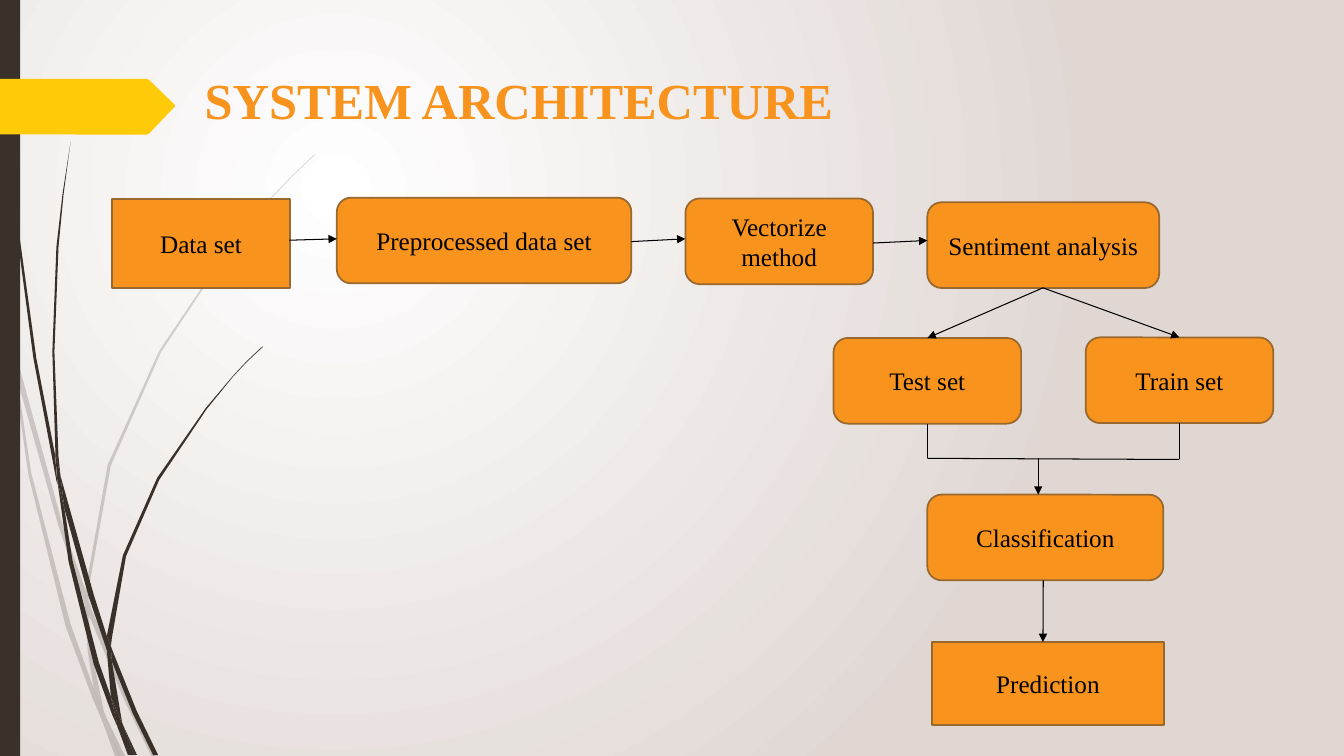
from lxml import etree
from pptx import Presentation
from pptx.dml.color import RGBColor
from pptx.enum.shapes import MSO_CONNECTOR, MSO_SHAPE
from pptx.enum.text import MSO_ANCHOR, MSO_AUTO_SIZE, PP_ALIGN
from pptx.oxml.ns import qn
from pptx.util import Pt

PROCESS = MSO_SHAPE.FLOWCHART_PROCESS
ROUNDED = MSO_SHAPE.FLOWCHART_ALTERNATE_PROCESS
STRAIGHT = MSO_CONNECTOR.STRAIGHT

ORANGE, BROWN, YELLOW, BARK, BLACK = "F8931D", "98682E", "FFCA08", "39302A", "000000"
BACKGROUND = ("FFFFFF", "E0D7D3")
SLIDE_SIZE = (960, 540)

TITLE = "SYSTEM ARCHITECTURE"
TITLE_BOX = (139, 45.4, 532.8, 51.1)
TITLE_FONT = {"name": "Times New Roman", "size": Pt(36), "bold": True}
STEP_FONT = {"name": "Times New Roman", "size": Pt(18), "bold": False}

# (label, shape, left, top, width, height)
STEPS = [
    ("Data set", PROCESS, 80, 142, 127.2, 63.6),
    ("Preprocessed data set", ROUNDED, 240.6, 141.2, 210.4, 61.2),
    ("Train set", ROUNDED, 775.5, 241, 134, 61.2),
    ("Test set", ROUNDED, 595.4, 241.4, 134, 61.2),
    ("Classification", ROUNDED, 662.4, 353.3, 168.6, 61.2),
    ("Prediction", PROCESS, 665.8, 458.6, 165.6, 59.4),
    ("Vectorize method", ROUNDED, 489.6, 141.8, 134, 61.2),
    ("Sentiment analysis", ROUNDED, 662.4, 144.5, 165.6, 61.2),
]
# (from, to)
ARROWS = [
    ((745, 205.6), (662.5, 241.4)),    # sentiment analysis to test set
    ((745, 205.6), (842.5, 241)),      # sentiment analysis to train set
    ((745.2, 414.5), (745, 458.6)),    # classification to prediction
    ((741.6, 327.2), (741.6, 353.3)),  # both sets to classification
    ((206.6, 171.6), (240.6, 170.6)),  # data set to preprocessed
    ((451, 172.6), (489.6, 170.6)),    # preprocessed to vectorize
    ((623.6, 173.6), (662.4, 171.8)),  # vectorize to sentiment analysis
]
BRACKET = [
    ((662.5, 302.6), (662.5, 327.2)),
    ((842.5, 302.2), (842.5, 328)),
    ((662.5, 327.4), (842.5, 328.2)),
]

# Pieces of grass: outlines as (x, y)
FAINT_GRASS = [
    [(7.9, 252), (6.5, 231.8), (0, 203), (0, 215.3), (7.2, 247.7)],
    [(41.8, 375.8), (60.5, 431.3), (61.2, 421.9), (44.6, 374.4), (10.1, 248.4),
     (12.2, 270.7)],
    [(66.2, 437), (63.4, 429.1), (63.4, 439.2), (88.6, 499.7), (108, 540), (111.6, 540),
     (91.4, 498.2)],
    [(85.7, 540), (89.3, 540), (75.6, 511.9)],
    [(67, 491.8), (50.4, 445.7), (22.3, 337.7), (12.2, 270.7), (7.9, 252), (20.2, 338.4),
     (46.8, 447.1), (66.2, 499), (72.7, 514.1), (71.3, 509)],
    [(60.5, 431.3), (62.6, 465.1), (67, 491.8), (69.1, 498.2), (75.6, 511.9),
     (74.2, 508.3), (65.5, 465.1), (63.4, 439.2), (63.4, 437.8)],
    [(63.4, 420.5), (79.2, 332.6), (115.2, 251.3), (164.9, 176.4), (193, 142.6),
     (208.8, 126), (224.6, 110.9), (224.6, 110.2), (208.1, 126), (193, 141.8),
     (164.2, 175.7), (113.8, 250.6), (77, 331.9), (61.2, 420.5), (61.2, 421.9),
     (63.4, 429.1)],
    [(72.7, 514.1), (82.1, 540), (85.7, 540)],
    [(63.4, 437.8), (63.4, 439.2), (63.4, 429.1), (61.2, 421.9), (60.5, 431.3)],
    [(69.1, 498.2), (67, 491.8), (71.3, 509), (72.7, 514.1), (85.7, 540), (75.6, 511.9)],
]
DARK_GRASS = [
    [(5, 79.2), (12.2, 167.8), (23.8, 255.6), (40.3, 343.4), (41, 346.3), (39.6, 329),
     (39.6, 326.2), (25.9, 255.6), (13.7, 167), (5.8, 78.5), (3.6, 34.6), (2.9, 0),
     (2.2, 0), (2.9, 34.6)],
    [(63.4, 426.2), (76.3, 464.4), (76.3, 454.3), (67, 424.8), (43.2, 339.8),
     (46.1, 363.6)],
    [(81.4, 467.3), (79.2, 461.5), (79.9, 472.3), (95, 509.8), (109.4, 539.3),
     (113, 539.3), (97.9, 508.3)],
    [(79.2, 497.5), (70.6, 473), (51.8, 400.3), (46.1, 363.6), (41, 343.4), (49, 401),
     (67, 474.5), (79.9, 509.8), (84.2, 519.8), (83.5, 516.2)],
    [(43.2, 339.8), (41.8, 326.2), (38.9, 251.3), (41.8, 176.4), (45.4, 139),
     (50.4, 101.5), (44.6, 139), (40.3, 176.4), (37.4, 251.3), (39.6, 323.3)],
    [(95.8, 539.3), (97.9, 539.3), (87.8, 517.7)],
    [(41, 343.4), (46.1, 363.6), (43.2, 339.8), (39.6, 323.3), (39.6, 326.2)],
    [(79.9, 455.8), (90, 397.4), (113.8, 342.7), (147.6, 292.3), (166.3, 269.3),
     (176.4, 258.5), (187.9, 247.7), (187.2, 247.7), (176.4, 257.8), (166.3, 268.6),
     (146.9, 291.6), (112.3, 341.3), (87.8, 396.7), (76.3, 454.3), (79.2, 461.5)],
    [(84.2, 519.8), (91.4, 539.3), (94.3, 539.3)],
    [(76.3, 464.4), (79.2, 497.5), (83.5, 508.3), (87.8, 517.7), (87.1, 515.5),
     (79.9, 472.3), (78.5, 468.7)],
    [(76.3, 464.4), (78.5, 468.7), (79.9, 472.3), (79.2, 461.5), (76.3, 454.3)],
    [(83.5, 508.3), (79.2, 497.5), (83.5, 516.2), (84.2, 519.8), (93.6, 539.3),
     (95.8, 539.3), (87.8, 517.7)],
]
TITLE_TAB = [(125, 76), (106.4, 95.6), (104.6, 96.2), (0, 96), (0, 56.4), (104.6, 56.4),
             (106.4, 57), (125, 75)]


def paint(color_format, hex_code):
    color_format.rgb = RGBColor.from_string(hex_code)


def points(*values):
    return [Pt(value) for value in values]


def fill_solid(shape, hex_code):
    shape.shadow.inherit = False
    shape.fill.solid()
    paint(shape.fill.fore_color, hex_code)


def write(shape, text, font_format, hex_code, align):
    frame = shape.text_frame
    frame_format = {"text": text, "word_wrap": True,
                    "auto_size": MSO_AUTO_SIZE.NONE, "vertical_anchor": MSO_ANCHOR.MIDDLE}
    for key, value in frame_format.items():
        setattr(frame, key, value)
    paragraph = frame.paragraphs[0]
    paragraph.alignment = align
    font = paragraph.runs[0].font
    for key, value in font_format.items():
        setattr(font, key, value)
    paint(font.color, hex_code)


def add_outline(shapes, outline, hex_code, alpha=100):
    corners = [points(*corner) for corner in outline]
    builder = shapes.build_freeform(*corners[0], scale=1.0)
    builder.add_line_segments(corners[1:], close=True)
    piece = builder.convert_to_shape()
    fill_solid(piece, hex_code)
    piece.line.fill.background()
    if alpha < 100:
        color = piece.element.spPr.find(qn("a:solidFill"))[0]
        etree.SubElement(color, qn("a:alpha"), val=str(alpha * 1000))


def add_line(shapes, start, end, arrow=False):
    line = shapes.add_connector(STRAIGHT, *points(*start, *end))
    line.line.width = Pt(0.75)
    paint(line.line.color, BLACK)
    properties = line.element.spPr
    if arrow:
        etree.SubElement(properties.find(qn("a:ln")), qn("a:tailEnd"), type="triangle")
    etree.SubElement(properties, qn("a:effectLst"))


def set_background(slide):
    fill = slide.background.fill
    fill.gradient()
    for position, (stop, hex_code) in enumerate(zip(fill.gradient_stops, BACKGROUND)):
        paint(stop.color, hex_code)
        stop.position = position
    gradient = next(slide.element.iter(qn("a:gradFill")))
    circle = etree.Element(qn("a:path"), path="circle")
    etree.SubElement(circle, qn("a:fillToRect"), l="50000", t="50000", r="100000", b="100000")
    gradient.replace(gradient.find(qn("a:lin")), circle)


def main():
    deck = Presentation()
    deck.slide_width, deck.slide_height = points(*SLIDE_SIZE)
    slide = deck.slides.add_slide(deck.slide_layouts[5])
    shapes = slide.shapes
    set_background(slide)

    for grass, alpha in ((FAINT_GRASS, 20), (DARK_GRASS, 100)):
        for piece in grass:
            add_outline(shapes, piece, BARK, alpha)
    side_bar = shapes.add_shape(MSO_SHAPE.RECTANGLE, *points(0, 0, 14.4, 540))
    fill_solid(side_bar, BARK)
    side_bar.line.fill.background()
    add_outline(shapes, TITLE_TAB, YELLOW)

    title = shapes.title
    title.left, title.top, title.width, title.height = points(*TITLE_BOX)
    write(title, TITLE, TITLE_FONT, ORANGE, PP_ALIGN.LEFT)
    next(title.element.iter(qn("a:rPr"))).set("kern", "0")

    for label, outline, *place in STEPS:
        box = shapes.add_shape(outline, *points(*place))
        fill_solid(box, ORANGE)
        box.line.width = Pt(1.25)
        paint(box.line.color, BROWN)
        write(box, label, STEP_FONT, BLACK, PP_ALIGN.CENTER)

    for start, end in ARROWS:
        add_line(shapes, start, end, arrow=True)
    for start, end in BRACKET:
        add_line(shapes, start, end)

    deck.save("out.pptx")


if __name__ == "__main__":
    main()
